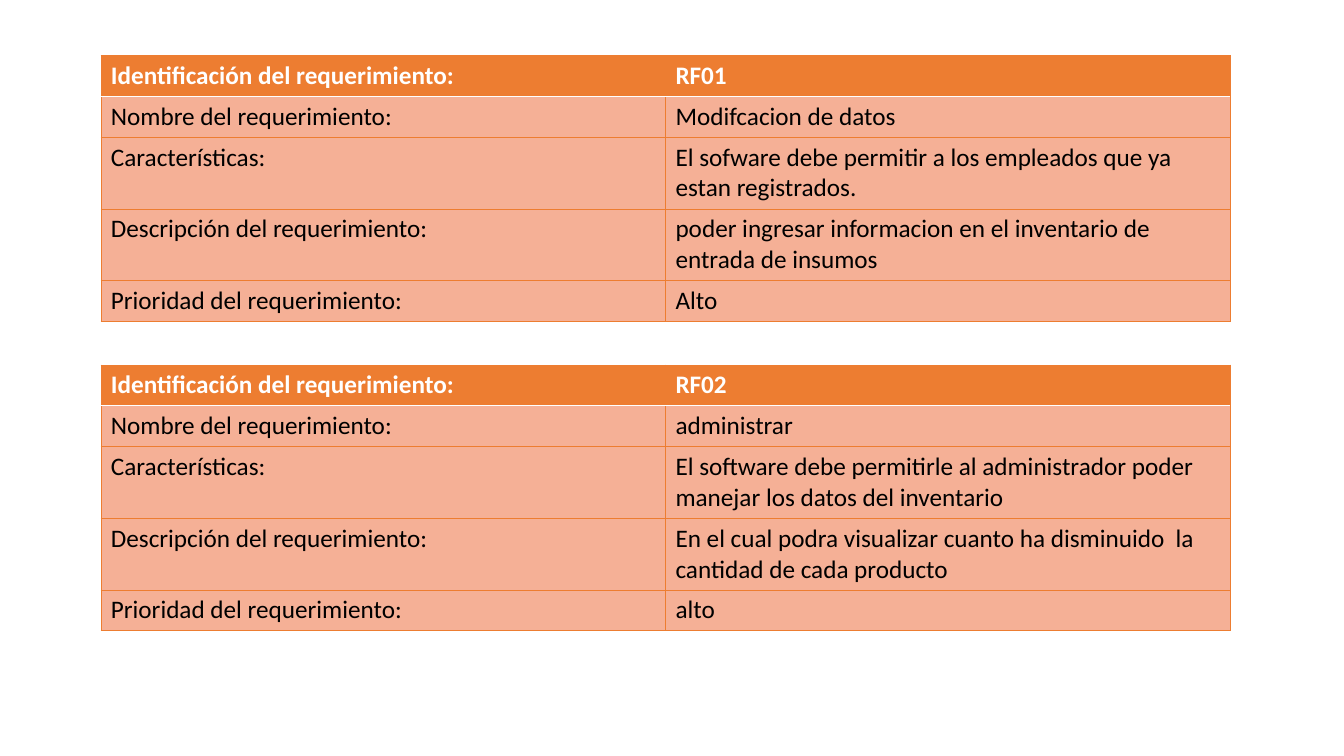
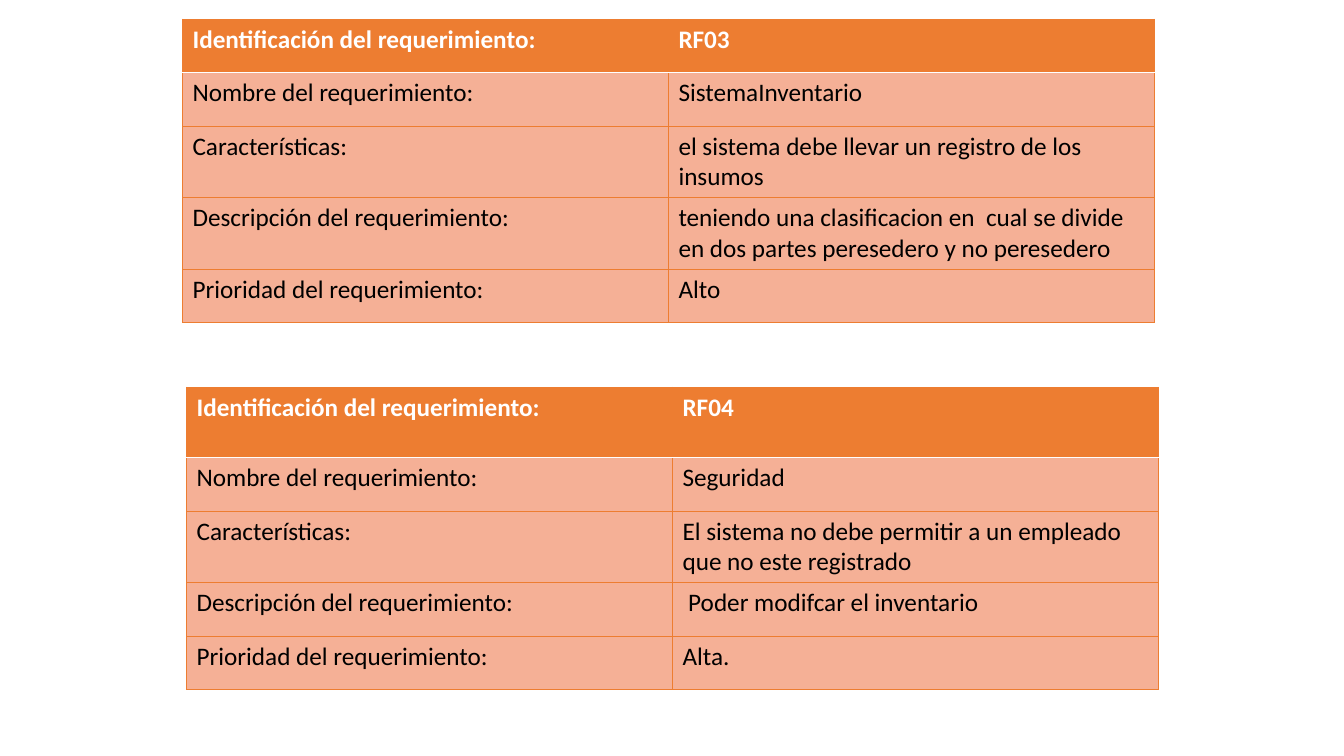
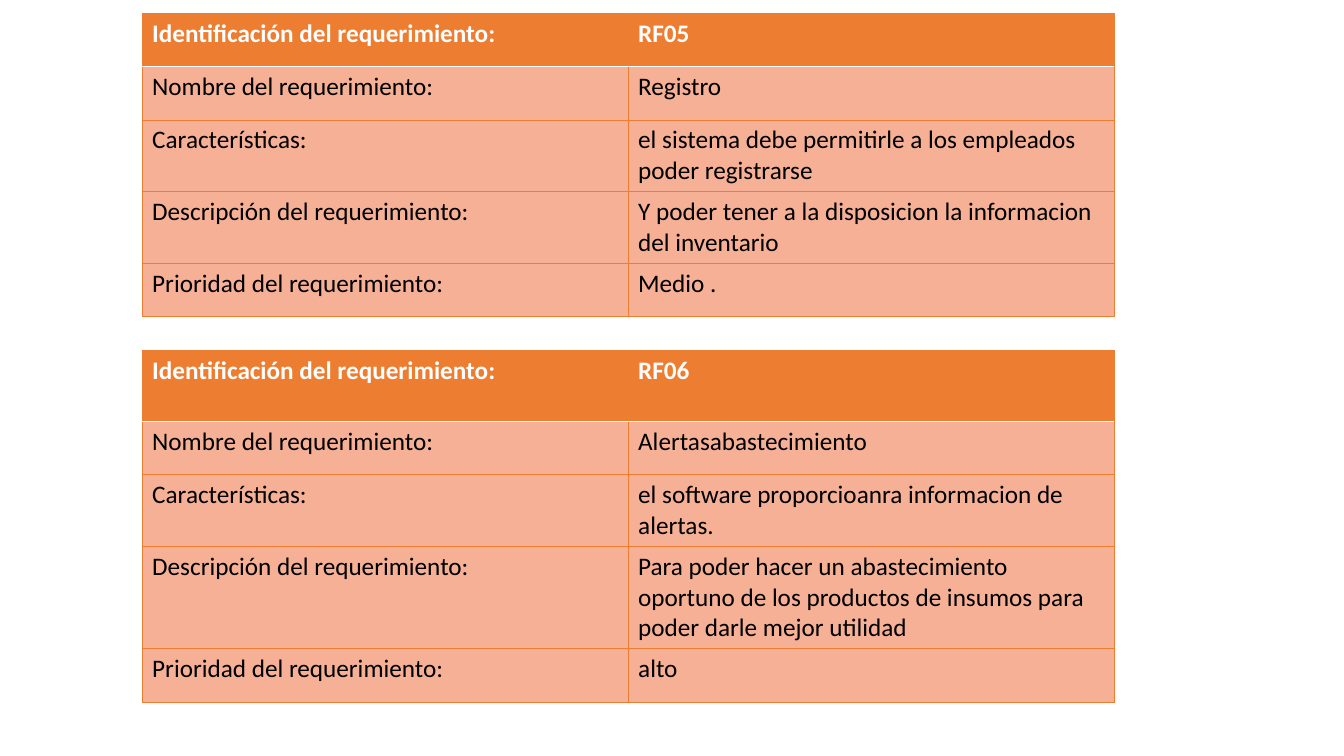
from lxml.etree import SubElement
from pptx import Presentation
from pptx.dml.color import RGBColor as Color
from pptx.oxml.ns import qn
from pptx.util import Inches, Pt

COLORS = {
    "orange": "ED7D31",
    "peach": "F5B096",
    "white": "FFFFFF",
    "black": "000000",
}
FONT = "Calibri"
BLANK_LAYOUT = 6

LABELS = [
    "Identificación del requerimiento:",
    "Nombre del requerimiento:",
    "Características:",
    "Descripción del requerimiento:",
    "Prioridad del requerimiento:",
]

# One list per slide; each table has left, top, column width, row heights and values
SLIDES = [
    [
        (1, 0.55, 5.6, [0.38, 0.38, 0.66, 0.66, 0.38], [
            "RF01",
            "Modifcacion de datos",
            "El sofware debe permitir a los empleados que ya estan registrados.",
            "poder ingresar informacion en el inventario de entrada de insumos",
            "Alto",
        ]),
        (1, 3.62, 5.6, [0.35, 0.4, 0.61, 0.61, 0.35], [
            "RF02",
            "administrar",
            "El software debe permitirle al administrador poder manejar los datos del inventario",
            "En el cual podra visualizar cuanto ha disminuido  la cantidad de cada producto",
            "alto",
        ]),
    ],
    [
        (1.81, 0.19, 4.82, [0.53] * 5, [
            "RF03",
            "SistemaInventario",
            "el sistema debe llevar un registro de los insumos",
            "teniendo una clasificacion en  cual se divide en dos partes peresedero y no peresedero",
            "Alto",
        ]),
        (1.85, 3.84, 4.82, [0.7] + [0.53] * 4, [
            "RF04",
            "Seguridad",
            "El sistema no debe permitir a un empleado que no este registrado",
            " Poder modifcar el inventario",
            "Alta.",
        ]),
    ],
    [
        (1.41, 0.13, 4.82, [0.53] * 5, [
            "RF05",
            "Registro",
            "el sistema debe permitirle a los empleados poder registrarse",
            "Y poder tener a la disposicion la informacion del inventario",
            "Medio .",
        ]),
        (1.41, 3.48, 4.82, [0.7, 0.53, 0.56, 0.53, 0.53], [
            "RF06",
            "Alertasabastecimiento",
            "el software proporcioanra informacion de alertas.",
            "Para poder hacer un abastecimiento  oportuno de los productos de insumos "
            "para poder darle mejor utilidad",
            "alto",
        ]),
    ],
]


def write_text(frame, text, size=18, color="black", bold=False):
    """Write one formatted run into a text frame."""
    span = frame.paragraphs[0].add_run()
    span.text = text
    span.font.name = FONT
    span.font.size = Pt(size)
    span.font.bold = bold
    span.font.color.rgb = Color.from_string(COLORS[color])


def set_border(cell, side, color="orange", width=0.5):
    """Draw one side (L, R, T or B) of a cell; call before filling the cell."""
    properties = cell._tc.get_or_add_tcPr()
    line = SubElement(properties, qn(f"a:ln{side}"), w=str(Pt(width)))
    fill = SubElement(line, qn("a:solidFill"))
    SubElement(fill, qn("a:srgbClr"), val=COLORS[color])


def format_cell(cell, text, row):
    """Style a cell as header (row 0) or body, with a white rule between them."""
    is_header = row == 0
    white_side = {0: "B", 1: "T"}.get(row)
    for side in "LRTB":
        if side == white_side:
            set_border(cell, side, color="white", width=1)
        else:
            set_border(cell, side)
    cell.fill.solid()
    cell.fill.fore_color.rgb = Color.from_string(COLORS["orange" if is_header else "peach"])
    write_text(cell.text_frame, text, color="white" if is_header else "black", bold=is_header)


def add_requirement(page, left, top, column_width, heights, values):
    """Add a two-column table that describes one requirement."""
    frame = page.shapes.add_table(
        len(LABELS), 2, Inches(left), Inches(top),
        Inches(2 * column_width), Inches(sum(heights)))
    table = frame.table
    table.horz_banding = False
    for column in table.columns:
        column.width = Inches(column_width)
    for row, (height, *texts) in enumerate(zip(heights, LABELS, values)):
        table.rows[row].height = Inches(height)
        for column, text in enumerate(texts):
            format_cell(table.cell(row, column), text, row)


def main():
    deck = Presentation()
    deck.slide_width = Inches(13.33)
    deck.slide_height = Inches(7.5)
    for requirements in SLIDES:
        page = deck.slides.add_slide(deck.slide_layouts[BLANK_LAYOUT])
        for requirement in requirements:
            add_requirement(page, *requirement)
    deck.save("out.pptx")


if __name__ == "__main__":
    main()
